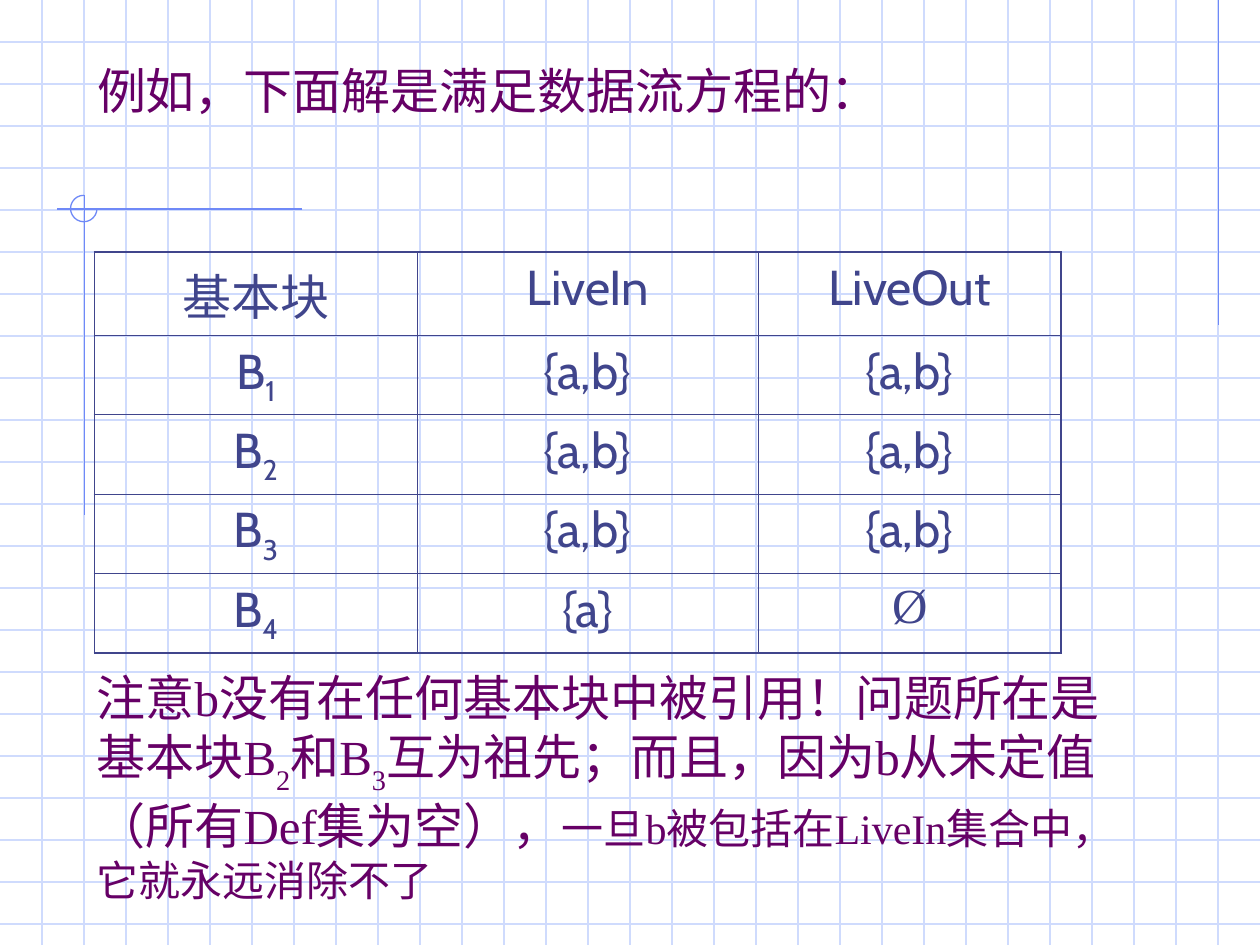
from lxml.etree import SubElement
from pptx import Presentation
from pptx.dml.color import RGBColor
from pptx.enum.shapes import MSO_CONNECTOR, MSO_SHAPE
from pptx.enum.text import MSO_ANCHOR, MSO_AUTO_SIZE, PP_ALIGN
from pptx.oxml.ns import qn
from pptx.util import Inches, Pt

COLORS = {"grid": "CFDBFD", "accent": "6F89F7", "table": "40458C", "text": "660066"}


def draw_line(x1, y1, x2, y2, color):
    line = slide.shapes.add_connector(
        MSO_CONNECTOR.STRAIGHT, Inches(x1), Inches(y1), Inches(x2), Inches(y2))
    line.line.color.rgb = RGBColor.from_string(COLORS[color])
    line.line.width = Pt(0.75)
    SubElement(line.element.spPr, qn("a:effectLst"))


def add_run(paragraph, text, font, size, color, baseline=0):
    run = paragraph.add_run()
    run.text = text
    run.font.name = font
    run.font.size = Pt(size)
    run.font.color.rgb = RGBColor.from_string(COLORS[color])
    if baseline:
        run.font._element.set("baseline", str(baseline * 1000))


prs = Presentation()
prs.slide_width, prs.slide_height = Inches(10), Inches(7.5)
slide = prs.slides.add_slide(prs.slide_layouts[5])

for step in range(1, 23):
    draw_line(0, step / 3, 10, step / 3, "grid")
for step in range(1, 30):
    draw_line(step / 3, 0, step / 3, 7.5, "grid")
draw_line(9.67, 0, 9.67, 2.58, "accent")
draw_line(2.4, 1.66, 0.45, 1.66, "accent")
draw_line(0.67, 1.55, 0.67, 4.09, "accent")

corner_arc = slide.shapes.add_shape(
    MSO_SHAPE.ARC, Inches(0.56), Inches(1.55), Inches(0.21), Inches(0.21))
corner_arc.adjustments[0] = 0
corner_arc.adjustments[1] = 162
corner_arc.shadow.inherit = False
corner_arc.fill.background()
corner_arc.line.color.rgb = RGBColor.from_string(COLORS["accent"])
corner_arc.line.width = Pt(0.75)

heading = slide.shapes.title
heading.element.getparent().append(heading.element)
heading.left, heading.top = Inches(0.67), Inches(0.33)
heading.width, heading.height = Inches(8.17), Inches(0.67)
heading.text_frame.auto_size = MSO_AUTO_SIZE.NONE
heading.text_frame.vertical_anchor = MSO_ANCHOR.BOTTOM
heading.text_frame.paragraphs[0].alignment = PP_ALIGN.LEFT
add_run(heading.text_frame.paragraphs[0], "例如，下面解是满足数据流方程的：", "Cabin", 28, "text")

live_sets = [
    ["基本块", "LiveIn", "LiveOut"],
    ["B1", "{a,b}", "{a,b}"],
    ["B2", "{a,b}", "{a,b}"],
    ["B3", "{a,b}", "{a,b}"],
    ["B4", "{a}", "Ø"],
]
live_table = slide.shapes.add_table(
    5, 3, Inches(0.75), Inches(2), Inches(7.67), Inches(3.09)).table
live_table.first_row = live_table.horz_banding = False
for column, width in zip(live_table.columns, [2.56, 2.71, 2.4]):
    column.width = Inches(width)
for row, height in zip(live_table.rows, [0.57] + [0.63] * 4):
    row.height = Inches(height)

for r, values in enumerate(live_sets):
    for c, value in enumerate(values):
        cell = live_table.cell(r, c)
        paragraph = cell.text_frame.paragraphs[0]
        paragraph.alignment = PP_ALIGN.CENTER
        paragraph.space_before = Pt(7)
        if c == 0 and r > 0:
            add_run(paragraph, value[0], "Cabin", 28, "table")
            add_run(paragraph, value[1], "Cabin", 28, "table", -25)
        else:
            font = "Times New Roman" if value == "Ø" else "Cabin"
            add_run(paragraph, value, font, 28, "table")
        outer_edges = {"lnL": c == 0, "lnR": c == 2, "lnT": r == 0, "lnB": r == 4}
        for edge, is_outer in outer_edges.items():
            border = SubElement(cell._tc.get_or_add_tcPr(), qn(f"a:{edge}"),
                                w=str(Pt(1.08 if is_outer else 0.45)))
            border_fill = SubElement(border, qn("a:solidFill"))
            SubElement(border_fill, qn("a:srgbClr"), val=COLORS["table"])
        cell.fill.background()

remark = slide.shapes.add_textbox(Inches(0.67), Inches(5.25), Inches(8.5), Inches(1.99))
remark.text_frame.word_wrap = True
remark_paragraph = remark.text_frame.paragraphs[0]
remark_paragraph.space_before = Pt(15)
remark_parts = [
    ("注意b没有在任何基本块中被引用！问题所在是基本块B", 28, 0),
    ("2", 28, -30),
    ("和B", 28, 0),
    ("3", 28, -30),
    ("互为祖先；而且，因为b从未定值（所有Def集为空），", 28, 0),
    ("一旦b被包括在LiveIn集合中，它就永远消除不了", 24, 0),
]
for text, size, baseline in remark_parts:
    add_run(remark_paragraph, text, "Times New Roman", size, "text", baseline)

prs.save("out.pptx")
